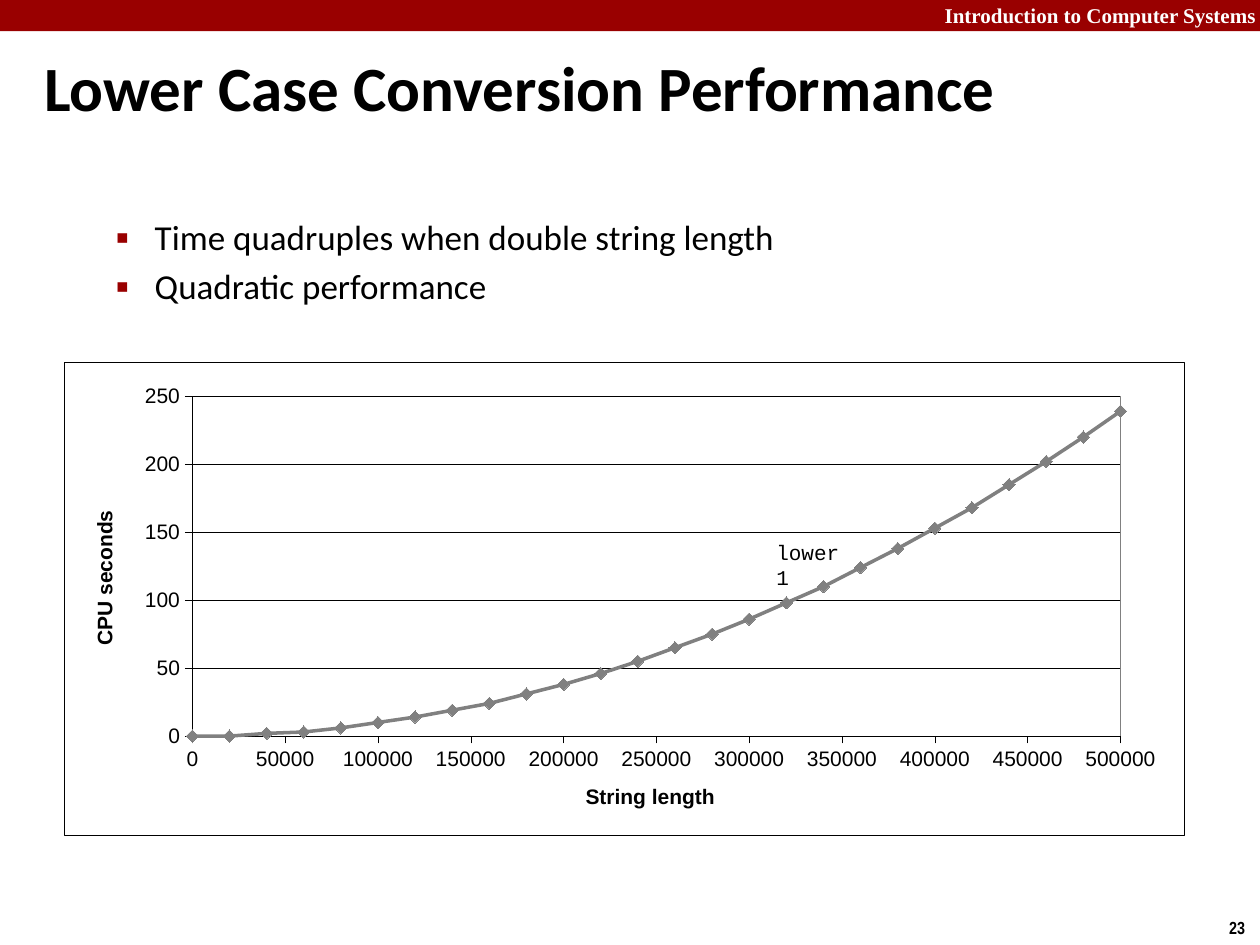
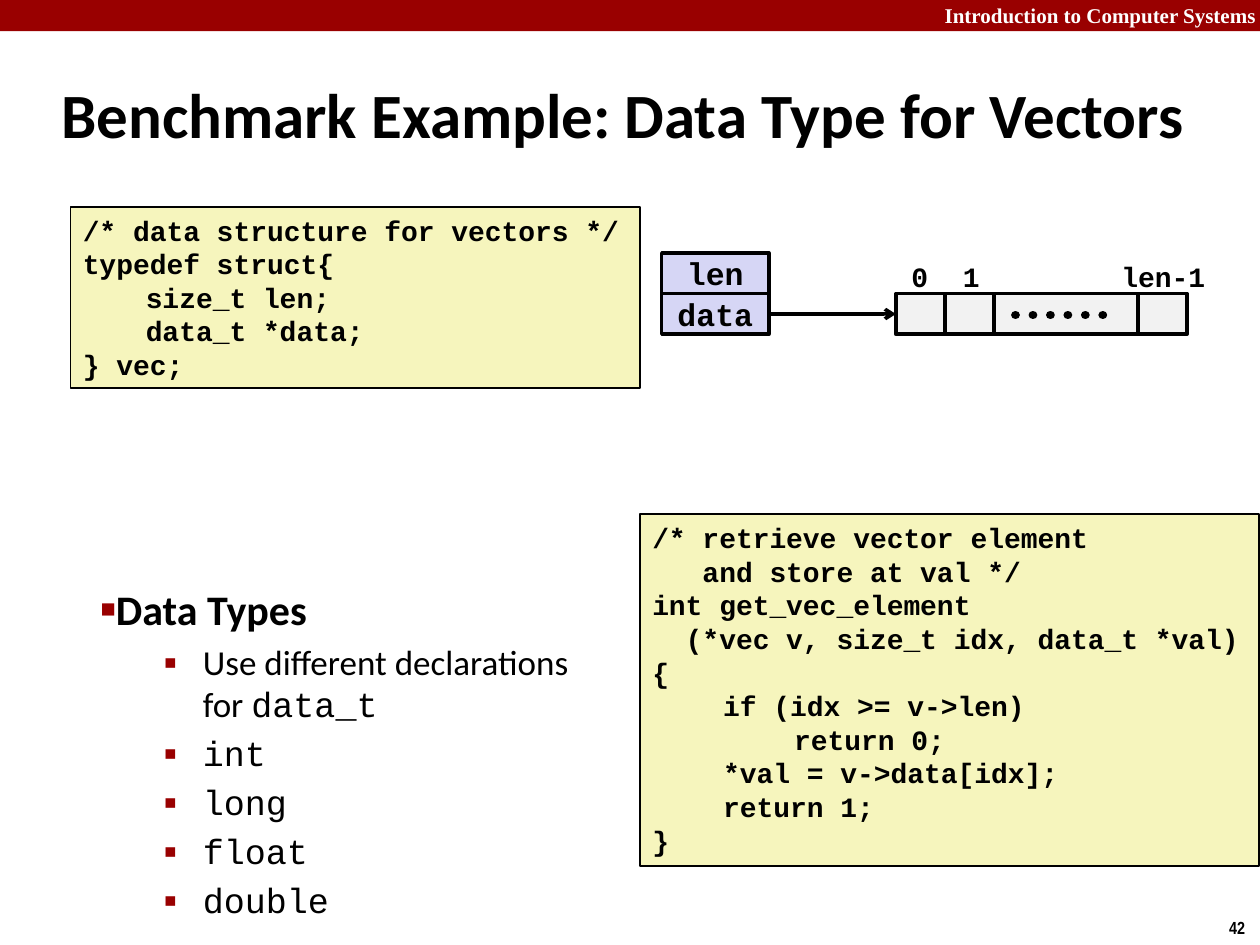
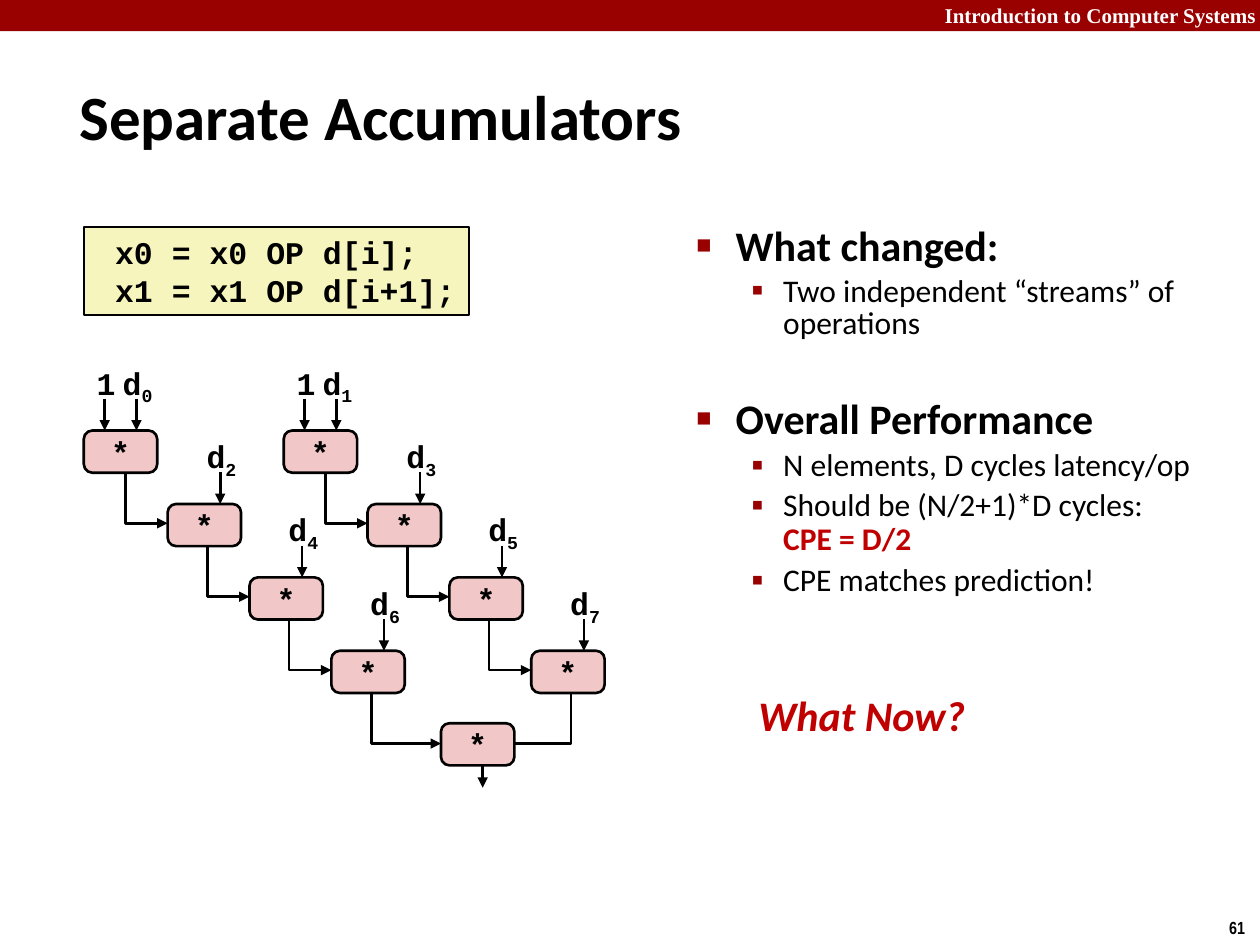
from lxml import etree
from pptx import Presentation
from pptx import util as u
from pptx.chart import data
from pptx.dml import color
from pptx.enum import chart as ch, dml, shapes, text
from pptx.oxml import ns, parse_xml

rgb = color.RGBColor.from_string
mid, top = text.MSO_ANCHOR.MIDDLE, text.MSO_ANCHOR.TOP
left, right, mean = text.PP_ALIGN.LEFT, text.PP_ALIGN.RIGHT, text.PP_ALIGN.CENTER
rect, round_ = shapes.MSO_SHAPE.RECTANGLE, shapes.MSO_SHAPE.ROUNDED_RECTANGLE

RED, BLACK, WHITE, HOT = "990000", "000000", "FFFFFF", "C00000"
CREAM, ROSE, LILAC, PALE, GREY = "F6F5BD", "F1C7C7", "D6D6F5", "F2F2F2", "808080"
SANS, MONO = "Calibri", "Courier New"
HEAD = dict(bullet=("■", 60), size=24, bold=True)
ITEM = dict(bullet=("▪", 110), size=20)
CODE = dict(font=MONO, bold=True)


def box(page, x, y, w, h, kind=None, fill=None, line=None, width=1,
        anchor=top, inset=(0.25, 0.13), grow=False):
    """Add a text box, or a preset shape if kind is given; return its text frame."""
    area = u.Cm(x), u.Cm(y), u.Cm(w), u.Cm(h)
    if kind is None:
        part = page.shapes.add_textbox(*area)
    else:
        part = page.shapes.add_shape(kind, *area)
        part.shadow.inherit = False
        part.fill.solid()
        part.fill.fore_color.rgb = rgb(fill)
        if line:
            part.line.color.rgb = rgb(line)
            part.line.width = u.Pt(width)
        else:
            part.line.fill.background()
    if kind == round_:
        part.adjustments[0] = 0.2
    frame = part.text_frame
    frame.word_wrap = not grow
    if grow:
        frame.auto_size = text.MSO_AUTO_SIZE.SHAPE_TO_FIT_TEXT
    frame.vertical_anchor = anchor
    frame.margin_left = frame.margin_right = u.Cm(inset[0])
    frame.margin_top = frame.margin_bottom = u.Cm(inset[1])
    return frame


def say(frame, *runs, size=18, font=SANS, ink=BLACK, bold=False, slant=False, align=left,
        bullet=None, indent=0, hang=0, before=0, pitch=None, tabs=()):
    """Add one paragraph; a run is a string or a (string, changes) pair."""
    par = frame.add_paragraph() if frame.text else frame.paragraphs[0]
    prop = par._p.get_or_add_pPr()
    if bullet:
        prop.set("marL", str(u.Cm(indent)))
        prop.set("indent", str(-u.Cm(hang)))
        clr = etree.SubElement(prop, ns.qn("a:buClr"))
        etree.SubElement(clr, ns.qn("a:srgbClr"), val=RED)
        etree.SubElement(prop, ns.qn("a:buSzPct"), val=str(bullet[1] * 1000))
        etree.SubElement(prop, ns.qn("a:buFont"), typeface="Arial")
        etree.SubElement(prop, ns.qn("a:buChar"), char=bullet[0])
    if tabs:
        stops = etree.SubElement(prop, ns.qn("a:tabLst"))
        for stop in tabs:
            etree.SubElement(stops, ns.qn("a:tab"), pos=str(u.Cm(stop)), algn="l")
    par.alignment = align
    if before:
        par.space_before = u.Pt(before)
    if pitch:
        par.line_spacing = pitch
    for run in runs:
        words, diff = (run, {}) if isinstance(run, str) else run
        if words == "\n":
            par.add_line_break()
            continue
        look = dict(size=size, font=font, ink=ink, bold=bold, slant=slant, base=0) | diff
        bit = par.add_run()
        bit.text = words
        bit.font.size = u.Pt(look["size"])
        bit.font.name = look["font"]
        bit.font.bold, bit.font.italic = look["bold"], look["slant"]
        bit.font.color.rgb = rgb(look["ink"])
        if look["base"]:
            bit._r.get_or_add_rPr().set("baseline", str(look["base"] * 1000))


deck = Presentation()
deck.slide_width, deck.slide_height = u.Cm(25.4), u.Cm(19.05)

# Shared band, page number and title
pages = []
for title, num, area in [
    ("Lower Case Conversion Performance", "23", (0.64, 0.94, 24.1, 1.6)),
    ("Benchmark Example: Data Type for Vectors", "42", (0.99, 1.22, 23.77, 2.11)),
    ("Separate Accumulators", "61", (1.35, 1.27, 21.08, 2.11)),
]:
    page = deck.slides.add_slide(deck.slide_layouts[6])
    pages.append(page)
    box(page, 0, 0, 25.4, 0.63, rect, RED)
    say(box(page, 15.24, -0.08, 10.33, 0.77), "Introduction to Computer Systems",
        size=12, font="Times New Roman", ink=WHITE, bold=True, align=right)
    say(box(page, 24.53, 18.36, 0.87, 0.68, grow=True), num,
        size=10, font="Arial Narrow", bold=True)
    say(box(page, *area, anchor=mid), title, size=36, bold=True)
perf, bench, accum = pages
links = []  # page, points, width, arrowhead, dash

# Performance: bullets
frame = box(perf, 0.81, 4.22, 23.09, 2.51)
for row, words in enumerate(["Time quadruples when double string length",
                             "Quadratic performance"]):
    say(frame, words, **ITEM, indent=2.06, hang=0.79, before=4 if row else 0)

# Performance: chart
secs = [0, 0, 2, 3, 6, 10, 14, 19, 24, 31, 38, 46, 55, 65, 75, 86, 98,
        110, 124, 138, 153, 168, 185, 202, 220, 239]
info = data.XyChartData()
curve = info.add_series("Series 1")
for step, sec in enumerate(secs):
    curve.add_data_point(step * 20000, sec)
graph = perf.shapes.add_chart(ch.XL_CHART_TYPE.XY_SCATTER_SMOOTH, u.Cm(1.3), u.Cm(7.29),
                              u.Cm(22.58), u.Cm(9.55), info).chart
graph.has_legend = graph.has_title = False
graph.font.size, graph.font.name = u.Pt(12), "Arial"
graph.font.color.rgb = rgb(BLACK)
for axis, name, peak, unit in [(graph.category_axis, "String length", 500000, 50000),
                               (graph.value_axis, "CPU seconds", 250, 50)]:
    axis.minimum_scale, axis.maximum_scale, axis.major_unit = 0, peak, unit
    axis.major_tick_mark = ch.XL_TICK_MARK.OUTSIDE
    axis.tick_labels.number_format = "General"
    axis.tick_labels.number_format_is_linked = False
    axis.format.line.color.rgb = rgb(BLACK)
    axis.format.line.width = u.Pt(0.25)
    axis.has_major_gridlines = axis is not graph.category_axis and name == "CPU seconds"
    label = axis.axis_title.text_frame
    label.text = name
    font = label.paragraphs[0].runs[0].font
    font.size, font.name, font.bold = u.Pt(12), "Arial", True
    font.color.rgb = rgb(BLACK)
grid = graph.value_axis.major_gridlines.format.line
grid.color.rgb = rgb(BLACK)
grid.width = u.Pt(0.25)

plot = graph.plots[0]
plot.vary_by_categories = False
curve = plot.series[0]
curve.smooth = True
curve.format.line.color.rgb = rgb(GREY)
curve.format.line.width = u.Pt(2)
curve.marker.style, curve.marker.size = ch.XL_MARKER_STYLE.DIAMOND, 7
curve.marker.format.fill.solid()
curve.marker.format.fill.fore_color.rgb = rgb(GREY)
curve.marker.format.line.color.rgb = rgb(GREY)

# Performance: plot place and chart frame
space = graph.element
field = space.find(".//" + ns.qn("c:plotArea"))
for old in field.findall(ns.qn("c:layout")):
    field.remove(old)
lay = etree.Element(ns.qn("c:layout"))
spot = etree.SubElement(lay, ns.qn("c:manualLayout"))
for tag, val in [("layoutTarget", "inner"), ("xMode", "edge"), ("yMode", "edge"),
                 ("x", "0.114"), ("y", "0.073"), ("w", "0.829"), ("h", "0.718")]:
    etree.SubElement(spot, ns.qn("c:" + tag), val=val)
field.insert(0, lay)
rim = ('<c:spPr %s><a:solidFill><a:srgbClr val="FFFFFF"/></a:solidFill><a:ln w="3175">'
       '<a:solidFill><a:srgbClr val="%s"/></a:solidFill></a:ln></c:spPr>')
field.append(parse_xml(rim % (ns.nsdecls("c", "a"), GREY)))
space.find(ns.qn("c:txPr")).addprevious(parse_xml(rim % (ns.nsdecls("c", "a"), BLACK)))
say(box(perf, 15.57, 10.8, 1.63, 0.61, inset=(0.08, 0.08), grow=True), "lower1",
    size=12, font=MONO)

# Benchmark: data types
frame = box(bench, 1.78, 11.63, 10.74, 6.17)
say(frame, "Data Types", **HEAD)
mono = dict(font=MONO)
for runs in [["Use different declarations for ", ("data_t", mono)], [("int", mono)],
             [("long", mono)], [("float", mono)], [("double", mono)]]:
    say(frame, *runs, **ITEM, indent=2.06, hang=0.79, before=4)

# Benchmark: code
for area, tab, code in [
    ((1.42, 4.17, 11.48, 3.66), 1.27, """/* data structure for vectors */
typedef struct{
\tsize_t len;
\tdata_t *data;
} vec;"""),
    ((12.9, 10.37, 12.48, 7.09), 1.43, """/* retrieve vector element
   and store at val */
int get_vec_element
  (*vec v, size_t idx, data_t *val)
{
\tif (idx >= v->len)
\t\treturn 0;
\t*val = v->data[idx];
\treturn 1;
}"""),
]:
    frame = box(bench, *area, rect, CREAM, BLACK, grow=True)
    for row in code.splitlines():
        say(frame, row, **CODE, size=16, tabs=(tab, 2 * tab))

# Benchmark: vector record and its array
for row, name in enumerate(["len", "data"]):
    say(box(bench, 13.34, 5.1 + row * 0.82, 2.16, 0.82, rect, LILAC, BLACK, 2, mid, (0, 0)),
        name, **CODE, align=mean)
for x, w in [(18.06, 0.99), (19.05, 0.99), (20.04, 2.9), (22.94, 0.99)]:
    box(bench, x, 5.92, w, 0.82, rect, PALE, BLACK, 2)
for x, w, name in [(18.11, 0.86, "0"), (19.15, 0.86, "1"), (22.33, 2.24, "len-1")]:
    say(box(bench, x, 5.1, w, 0.94, grow=True), name, **CODE, size=16, align=mean)
links.append((bench, [(15.5, 6.33), (18.06, 6.33)], 2, "arrow", False))
links.append((bench, [(20.47, 6.35), (22.5, 6.35)], 5, None, True))

# Accumulators: code
frame = box(accum, 1.69, 4.57, 7.77, 1.78, rect, CREAM, BLACK, grow=True)
for row in [" x0 = x0 OP d[i];", " x1 = x1 OP d[i+1];"]:
    say(frame, row, **CODE)

# Accumulators: two streams of products
wide, high, gap = 1.48, 0.85, 0.64
nodes = [(8.89, 14.58)]
tags = []  # x, y, width, runs
for lane in range(2):
    for row, shift in enumerate([0, 1.69, 3.34, 4.99]):
        x, y = 1.69 + lane * 4.03 + shift, 8.68 + row * wide
        nodes.append((x, y))
        tags.append((x + 0.64, y - 1.48, 0.89,
                     ["d", (str(2 * row + lane), dict(base=-25))]))
        links.append((accum, [(x + 1.06, y - gap), (x + 1.06, y)], 1.5, "triangle", False))
        if row:
            way = [(x - 0.85, y - gap), (x - 0.85, y + 0.39), (x, y + 0.39)]
        else:
            tags.append((x + 0.13, y - 1.48, 0.64, ["1"]))
            way = [(x + 0.42, y - gap), (x + 0.42, y)]
        links.append((accum, way, 1.5, "triangle", False))
for x, y in nodes:
    say(box(accum, x, y, wide, high, round_, ROSE, BLACK, 1.5, mid, (0, 0)),
        "*", **CODE, align=mean)
for x, y, w, runs in tags:
    say(box(accum, x, y, w, 1.02, inset=(0.13, 0.13), grow=True), *runs, **CODE, align=mean)
for way, tip in [([(7.49, 13.97), (7.49, 14.99), (8.89, 14.99)], "triangle"),
                 ([(11.51, 13.97), (11.51, 14.99), (10.37, 14.99)], None),
                 ([(9.73, 15.43), (9.73, 15.88)], "triangle")]:
    links.append((accum, way, 1.5, tip, False))

# Accumulators: findings
frame = box(accum, 13.79, 4.45, 10.97, 8.69)
main = HEAD | dict(indent=0.79, hang=0.79, pitch=0.85)
sub = ITEM | dict(size=18, indent=1.75, hang=0.64, before=3.6, pitch=0.9)
say(frame, "What changed:", **main)
say(frame, "Two independent “streams” of operations", **sub | dict(pitch=0.85))
say(frame, "Overall Performance", **main, before=34)
say(frame, "N elements, D cycles latency/op", **sub)
say(frame, "Should be (N/2+1)*D cycles:", "\n", ("CPE = D/2", dict(ink=HOT, bold=True)), **sub)
say(frame, "CPE matches prediction!", **sub)
say(box(accum, 15.04, 13.77, 4.72, 1.27, grow=True), "What Now?",
    size=24, ink=HOT, bold=True, slant=True)

# Lines and arrows of all slides
for page, way, width, tip, dots in links:
    pts = [(u.Cm(x), u.Cm(y)) for x, y in way]
    if len(pts) == 2:
        part = page.shapes.add_connector(shapes.MSO_CONNECTOR.STRAIGHT, *pts[0], *pts[1])
    else:
        path = page.shapes.build_freeform(*pts[0])
        path.add_line_segments(pts[1:], close=False)
        part = path.convert_to_shape()
        part.fill.background()
    part.line.color.rgb = rgb(BLACK)
    part.line.width = u.Pt(width)
    prop = part.element.spPr
    edge = prop.find(ns.qn("a:ln"))
    if dots:
        part.line.dash_style = dml.MSO_LINE.ROUND_DOT
        edge.set("cap", "rnd")
    if tip:
        etree.SubElement(edge, ns.qn("a:tailEnd"), type=tip)
    etree.SubElement(prop, ns.qn("a:effectLst"))

deck.save("out.pptx")
